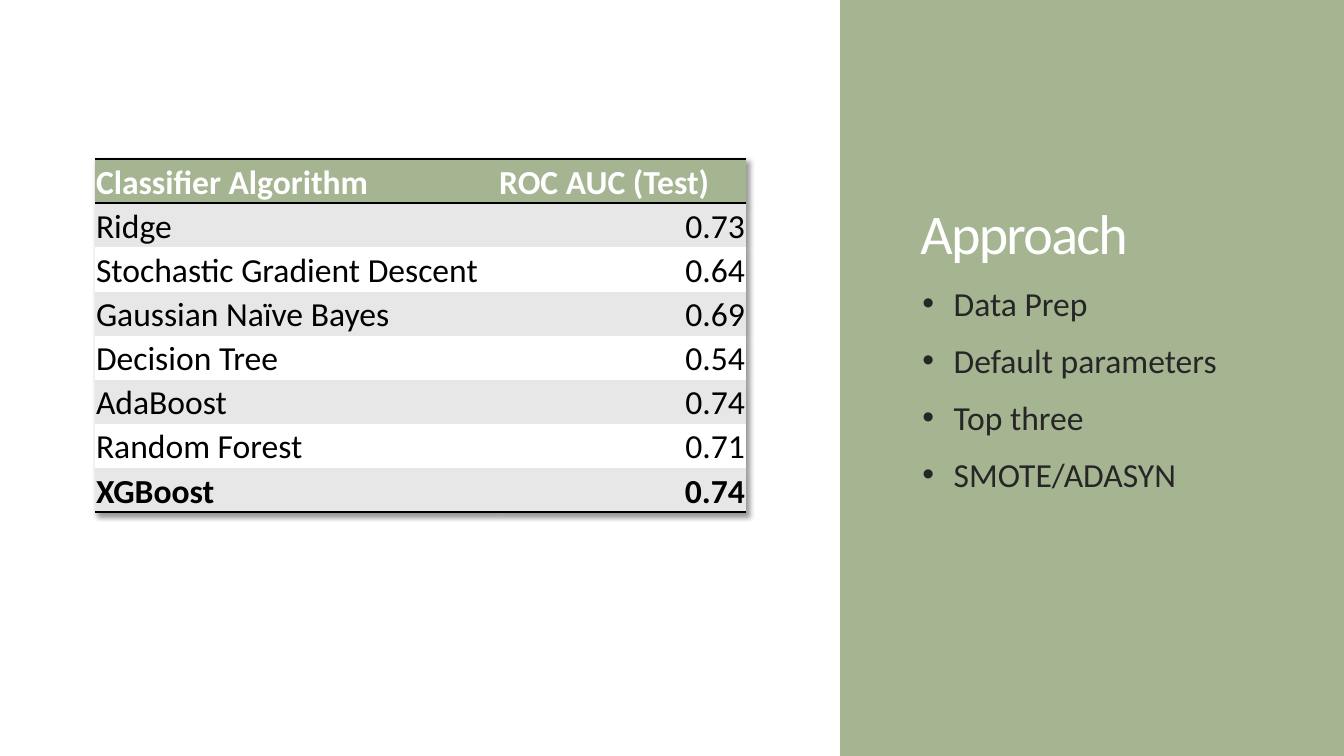
from lxml.etree import SubElement
from pptx import Presentation
from pptx.dml.color import RGBColor
from pptx.enum.shapes import MSO_SHAPE
from pptx.enum.text import MSO_ANCHOR, MSO_AUTO_SIZE, PP_ALIGN
from pptx.oxml import parse_xml
from pptx.oxml.ns import qn
from pptx.util import Cm, Pt

SAGE = RGBColor(0xA5, 0xB5, 0x92)
WHITE = RGBColor(0xFF, 0xFF, 0xFF)
BLACK = RGBColor(0, 0, 0)
GREY = RGBColor(0xE7, 0xE7, 0xE7)
DARK = RGBColor(0x26, 0x26, 0x26)
FONT = "Calibri"
SHADOW = (
    '<a:effectLst xmlns:a="http://schemas.openxmlformats.org/drawingml/2006/main">'
    '<a:outerShdw blurRad="50800" dist="38100" dir="2700000" algn="tl" rotWithShape="0">'
    '<a:srgbClr val="000000"><a:alpha val="40000"/></a:srgbClr>'
    "</a:outerShdw></a:effectLst>"
)

ITEMS = ["Data Prep", "Default parameters", "Top three", "SMOTE/ADASYN"]
SCORES = [
    ("Classifier Algorithm", "ROC AUC (Test)"),
    ("Ridge", "0.73"),
    ("Stochastic Gradient Descent", "0.64"),
    ("Gaussian Naïve Bayes", "0.69"),
    ("Decision Tree", "0.54"),
    ("AdaBoost", "0.74"),
    ("Random Forest", "0.71"),
    ("XGBoost", "0.74"),
]


def write(para, text, size=24, color=BLACK, bold=False, align=PP_ALIGN.LEFT,
          before=0, line=None, track=None):
    run = para.add_run()
    run.text = text
    font = run.font
    font.name, font.size, font.bold = FONT, Pt(size), bold
    font.color.rgb = color
    para.alignment = align
    para.space_before = Pt(before)
    if line:
        para.line_spacing = line
    if track:
        run.font._element.set("spc", str(track))


def place(shape, left, top, width, height, anchor):
    shape.left, shape.top = Cm(left), Cm(top)
    shape.width, shape.height = Cm(width), Cm(height)
    frame = shape.text_frame
    frame.word_wrap = True
    frame.auto_size = MSO_AUTO_SIZE.NONE
    frame.vertical_anchor = anchor
    return frame


def add_panel(slide):
    panel = slide.shapes.add_shape(
        MSO_SHAPE.RECTANGLE, Cm(21.17), 0, Cm(12.7), Cm(19.05))
    panel.shadow.inherit = False
    panel.fill.solid()
    panel.fill.fore_color.rgb = SAGE
    panel.line.fill.background()
    # Send the panel behind the placeholders
    slide.shapes.element.insert(2, panel.element)


def add_bullet(para):
    props = para._p.get_or_add_pPr()
    props.set("marL", str(Cm(0.79)))
    props.set("indent", str(-Cm(0.79)))
    SubElement(props, qn("a:buFont")).set("typeface", "Arial")
    SubElement(props, qn("a:buChar")).set("char", "•")


def add_list(frame, items):
    for i, text in enumerate(items):
        para = frame.add_paragraph() if i else frame.paragraphs[0]
        write(para, text, color=DARK, before=12)
        add_bullet(para)


def set_rules(cell, *sides):
    props = cell._tc.get_or_add_tcPr()
    for i, side in enumerate(("lnL", "lnR", "lnT", "lnB")):
        line = props.makeelement(qn("a:" + side), {"w": str(Pt(2))})
        if side in sides:
            fill = SubElement(line, qn("a:solidFill"))
            SubElement(fill, qn("a:srgbClr")).set("val", str(BLACK))
        else:
            SubElement(line, qn("a:noFill"))
        props.insert(i, line)


def add_scores(slide, rows):
    last = len(rows) - 1
    table = slide.shapes.add_table(
        len(rows), 2, Cm(2.39), Cm(4.01), Cm(16.41), Cm(8.9)).table
    table.columns[0].width, table.columns[1].width = Cm(10.16), Cm(6.25)
    table._tbl.tblPr.insert(0, parse_xml(SHADOW))
    for r, row in enumerate(rows):
        head = r == 0
        for c, text in enumerate(row):
            cell = table.cell(r, c)
            cell.margin_left = cell.margin_right = cell.margin_top = Cm(0.03)
            cell.margin_bottom = 0
            cell.vertical_anchor = MSO_ANCHOR.BOTTOM
            cell.fill.solid()
            cell.fill.fore_color.rgb = SAGE if head else GREY if r % 2 else WHITE
            write(cell.text_frame.paragraphs[0], text,
                  color=WHITE if head else BLACK, bold=r in (0, last),
                  align=PP_ALIGN.RIGHT if c and not head else PP_ALIGN.LEFT)
            sides = {0: ("lnT", "lnB"), 1: ("lnT",), last: ("lnB",)}
            set_rules(cell, *sides.get(r, ()))


def main():
    deck = Presentation()
    deck.slide_width, deck.slide_height = Cm(33.87), Cm(19.05)
    slide = deck.slides.add_slide(deck.slide_layouts[1])

    # Side panel with title and list
    add_panel(slide)
    title = place(slide.shapes.title, 22.94, 1.5, 9.4, 5.33, MSO_ANCHOR.BOTTOM)
    write(title.paragraphs[0], "Approach", size=40, color=WHITE,
          line=0.85, track=-120)
    body = place(slide.placeholders[1], 22.99, 6.99, 9.45, 8.69, MSO_ANCHOR.TOP)
    add_list(body, ITEMS)

    # Table of scores
    add_scores(slide, SCORES)
    deck.save("out.pptx")


if __name__ == "__main__":
    main()
